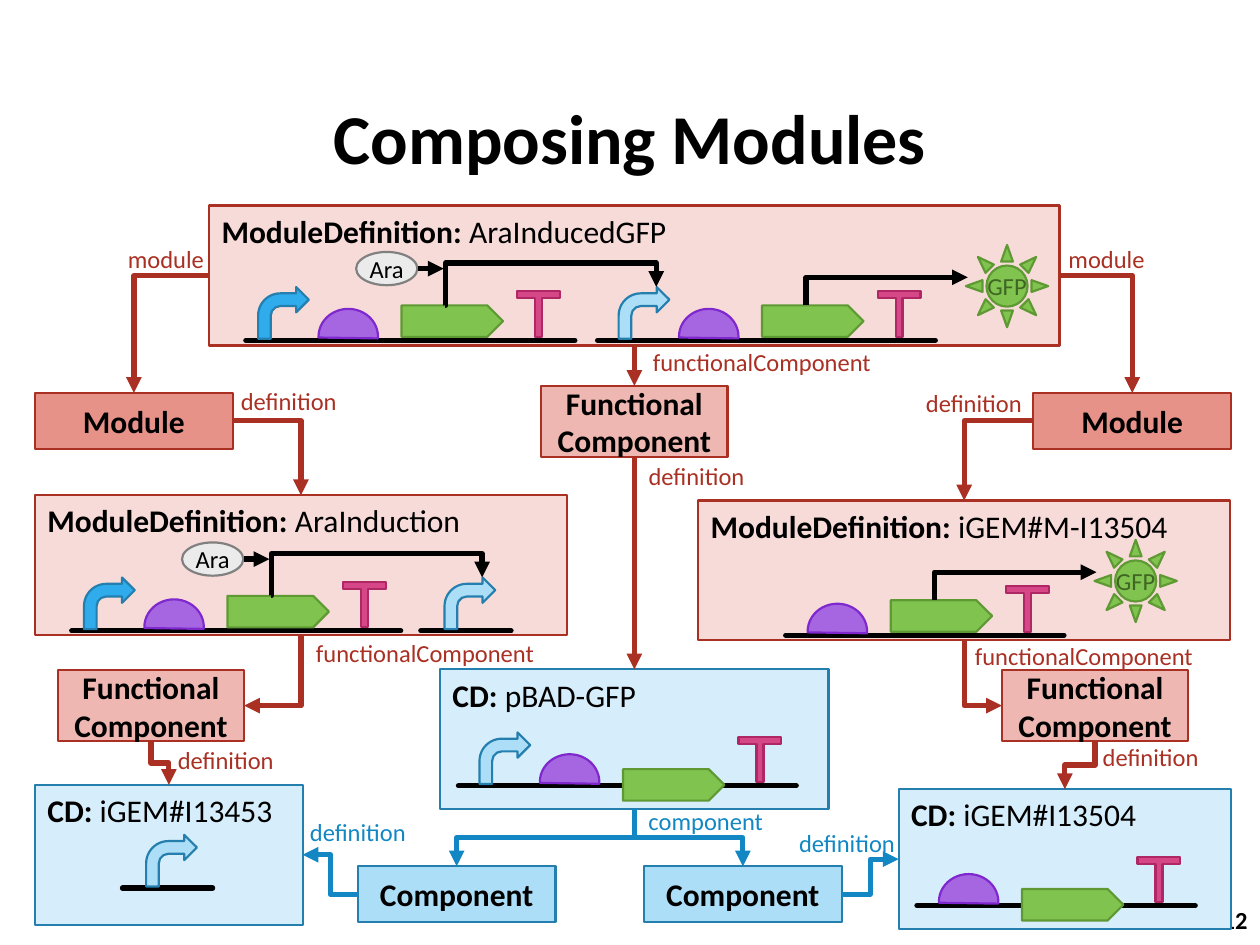
from dataclasses import dataclass

from lxml.etree import SubElement
from pptx import Presentation
from pptx.dml.color import RGBColor
from pptx.enum.shapes import MSO_CONNECTOR as Line, MSO_SHAPE as Kind
from pptx.enum.text import MSO_ANCHOR as Anchor, PP_ALIGN as Align
from pptx.oxml.ns import qn
from pptx.util import Pt

COLORS = {
    "black": "000000", "red": "A93023", "module": "E69289", "functional": "EFB7B1",
    "module_panel": "F7DBD8", "blue": "1287C3", "blue_edge": "247FAF",
    "component": "ACDEF7", "component_panel": "D6EEFB", "promoter": "30ACEC",
    "inducible": "ACDEF7", "purple": "A666E1", "purple_edge": "7E28CD",
    "green": "80C34F", "green_edge": "5F9934", "green_text": "3F6623",
    "pink": "D64787", "pink_edge": "AF2764", "grey": "EBEBEB", "grey_edge": "808080",
}
LABEL_WIDTHS = {"module": 64, "definition": 76, "component": 100, "functionalComponent": 160}
ELBOWS = {"hv": 2, "vh": 2, "hvh": 3, "vhv": 3, "hvhv": 4}


@dataclass
class Box:
    """A rectangle in points."""
    left: float
    top: float
    width: float
    height: float

    def at(self, across, down):
        """Return the point at the given fractions of the box."""
        return self.left + across * self.width, self.top + down * self.height

    def lengths(self):
        """Return the box as slide lengths."""
        return [Pt(value) for value in (self.left, self.top, self.width, self.height)]


def rgb(name):
    """Look up a named colour."""
    return RGBColor.from_string(COLORS[name])


def write(shape, runs, size, color="black", align=Align.LEFT, anchor=Anchor.MIDDLE, wrap=True):
    """Fill a shape with one paragraph of (text, bold) runs."""
    frame = shape.text_frame
    frame.word_wrap = wrap
    frame.vertical_anchor = anchor
    paragraph = frame.paragraphs[0]
    paragraph.alignment = align
    for text, bold in runs:
        run = paragraph.add_run()
        run.text = text
        run.font.name, run.font.size, run.font.bold = "Calibri", Pt(size), bold
        run.font.color.rgb = rgb(color)


def add_text(slide, box, text, size, color="black", bold=False, align=Align.LEFT, anchor=Anchor.MIDDLE):
    """Place a text box."""
    write(slide.shapes.add_textbox(*box.lengths()), [(text, bold)], size, color, align, anchor)


def add_label(slide, left, top, text, color="red"):
    """Name a connector."""
    add_text(slide, Box(left, top, LABEL_WIDTHS[text], 24), text, 14, color, anchor=Anchor.TOP)


def draw(slide, kind, box, fill, edge, adjustments=(), rotation=0):
    """Place a filled and outlined preset shape."""
    shape = slide.shapes.add_shape(kind, *box.lengths())
    shape.shadow.inherit = False
    shape.fill.solid()
    shape.fill.fore_color.rgb = rgb(fill)
    shape.line.color.rgb = rgb(edge)
    shape.line.width = Pt(1.25)
    shape.rotation = rotation
    for index, value in enumerate(adjustments):
        shape.adjustments[index] = value
    return shape


def connect(slide, start, end, route="", color="black", arrow=True, adjustments=()):
    """Join two points, straight or by an elbow whose route names its legs."""
    (x1, y1), (x2, y2) = start, end
    if route.startswith("v"):
        x, y, dx, dy = (x1 + x2) / 2, (y1 + y2) / 2, (x2 - x1) / 2, (y2 - y1) / 2
        x1, y1, x2, y2 = x - dy, y + dx, x + dy, y - dx
    connector = slide.shapes.add_connector(
        Line.ELBOW if route else Line.STRAIGHT, Pt(x1), Pt(y1), Pt(x2), Pt(y2))
    connector.line.color.rgb = rgb(color)
    connector.line.width = Pt(3)
    properties = connector._element.spPr
    if route:
        geometry = properties.find(qn("a:prstGeom"))
        geometry.set("prst", f"bentConnector{ELBOWS[route]}")
        for number, value in enumerate(adjustments, 1):
            SubElement(geometry.find(qn("a:avLst")), qn("a:gd"),
                       name=f"adj{number}", fmla=f"val {value}")
    if route.startswith("v"):
        properties.find(qn("a:xfrm")).set("rot", "5400000")
    outline = properties.find(qn("a:ln"))
    if arrow:
        SubElement(outline, qn("a:tailEnd"), type="triangle")
    else:
        outline.set("cap", "rnd")
    SubElement(properties, qn("a:effectLst"))


def add_panel(slide, box, title, name, fill="module_panel", edge="red"):
    """Place a definition panel with its heading."""
    shape = draw(slide, Kind.RECTANGLE, box, fill, edge)
    write(shape, [(title + ": ", True), (name, False)], 18, anchor=Anchor.TOP)


def add_node(slide, box, text, fill, edge="red"):
    """Place a small bold box."""
    write(draw(slide, Kind.RECTANGLE, box, fill, edge), [(text, True)], 18, align=Align.CENTER)


def add_promoter(slide, x, y, fill):
    """Place a promoter standing on the strand at y."""
    draw(slide, Kind.BENT_ARROW, Box(x, y - 30.5, 29, 29.5), fill, "blue_edge")


def add_short_strand(slide, x, y):
    """Place a strand that holds a lone promoter."""
    connect(slide, (x, y), (x + 51.5, y), arrow=False)
    add_promoter(slide, x + 13.5, y, "inducible")


def add_gene(slide, x, y, start=-60, promoter=None, coding_rise=20):
    """Place a strand at y with its parts, the coding region starting at x."""
    connect(slide, (x + start, y), (x + 99, y), arrow=False)
    if promoter:
        add_promoter(slide, x - 82, y, promoter)
    draw(slide, Kind.CHORD, Box(x - 47.5, y - 18, 34, 31.7), "purple", "purple_edge", (106.9, 2.146))
    draw(slide, Kind.PENTAGON, Box(x, y - coding_rise, 58, 18), "green", "green_edge")
    draw(slide, Kind.LEFT_RIGHT_UP_ARROW, Box(x + 66, y - 28, 24.5, 26),
         "pink", "pink_edge", (0.182, 0.081, 0), 180)


def add_induction(slide, x, y):
    """Place the inducer and the arrow from the coding region to the next promoter."""
    connect(slide, (x + 25, y - 20), (x + 145.5, y - 30.5), "hvhv", adjustments=(200, 230000))
    ellipse = draw(slide, Kind.OVAL, Box(x - 26, y - 50.5, 35, 19), "grey", "grey_edge")
    write(ellipse, [("Ara", False)], 14, align=Align.CENTER, wrap=False)
    connect(slide, (x + 9.5, y - 41), (x + 24, y - 41))


def add_reporter(slide, x, y):
    """Place the fluorescent protein and the arrow that leads to it."""
    sun = draw(slide, Kind.SUN, Box(x + 116.5, y - 54.5, 47, 47), "green", "green_edge")
    write(sun, [("GFP", False)], 14, "green_text", Align.CENTER, wrap=False)
    connect(slide, (x + 25, y - 20), (x + 117.5, y - 36), "vh")


def add_induced_module(slide, box):
    """Place the composed module."""
    add_panel(slide, box, "ModuleDefinition", "AraInducedGFP")
    first, second, y = box.left + 110, box.left + 316, box.top + 77
    add_gene(slide, first, y, -89, "promoter")
    add_gene(slide, second, y, -94, "inducible")
    add_induction(slide, first, y)
    add_reporter(slide, second, y)


def add_induction_module(slide, box):
    """Place the induction module."""
    add_panel(slide, box, "ModuleDefinition", "AraInduction")
    x, y = box.left + 110, box.top + 77.5
    add_gene(slide, x, y, -89, "promoter")
    add_short_strand(slide, x + 110.5, y)
    add_induction(slide, x, y)


def add_reporter_module(slide, box):
    """Place the reporter module."""
    add_panel(slide, box, "ModuleDefinition", "iGEM#M-I13504")
    add_gene(slide, box.left + 110, box.top + 77)
    add_reporter(slide, box.left + 110, box.top + 77)


def add_component_panel(slide, box, name, coding_left=None, **gene):
    """Place a component definition with a gene or a lone promoter."""
    add_panel(slide, box, "CD", name, "component_panel", "blue_edge")
    if coding_left is None:
        add_short_strand(slide, box.left + 50, box.top + 59)
    else:
        add_gene(slide, box.left + coding_left, box.top + 66.5, coding_rise=9.5, **gene)


def main():
    """Build the slide."""
    presentation = Presentation()
    presentation.slide_width, presentation.slide_height = Pt(720), Pt(540)
    slide = presentation.slides.add_slide(presentation.slide_layouts[6])
    add_text(slide, Box(0, 0, 720, 156), "Composing Modules", 40, bold=True, align=Align.CENTER)
    add_text(slide, Box(686, 511, 34, 29), "12", 14, bold=True, align=Align.RIGHT)

    top = Box(119.5, 117.5, 486, 80)
    induction, reporter = Box(20, 283, 304, 80), Box(399, 286, 304, 80)
    promoter, whole, gene = Box(20, 448.5, 153, 80), Box(251.5, 382.5, 222, 80), Box(513.5, 451, 190, 80)
    modules = [Box(left, 224.5, 113, 32) for left in (20, 590.5)]
    components = [Box(left, 495, 113, 32) for left in (204.5, 368)]
    functionals = [Box(*corner, 106.5, 40.5) for corner in ((33, 383), (309.25, 220.5), (572.5, 383))]

    add_induced_module(slide, top)
    add_induction_module(slide, induction)
    add_reporter_module(slide, reporter)
    add_component_panel(slide, promoter, "iGEM#I13453")
    add_component_panel(slide, whole, "pBAD-GFP", 104.5, start=-94, promoter="inducible")
    add_component_panel(slide, gene, "iGEM#I13504", 70.5)
    for boxes, text, fill, edge in ((modules, "Module", "module", "red"),
                                    (functionals, "Functional Component", "functional", "red"),
                                    (components, "Component", "component", "blue_edge")):
        for box in boxes:
            add_node(slide, box, text, fill, edge)

    left, right, above, below = (0, 0.5), (1, 0.5), (0.5, 0), (0.5, 1)
    for source, leave, target, enter, route, color in (
            (top, left, modules[0], above, "hv", "red"),
            (top, right, modules[1], above, "hv", "red"),
            (top, below, functionals[1], above, "", "red"),
            (modules[0], right, induction, above, "hv", "red"),
            (modules[1], left, reporter, above, "hv", "red"),
            (functionals[1], below, whole, above, "", "red"),
            (induction, below, functionals[0], right, "vh", "red"),
            (reporter, below, functionals[2], left, "vh", "red"),
            (functionals[0], below, promoter, above, "vhv", "red"),
            (functionals[2], below, gene, above, "vhv", "red"),
            (whole, below, components[0], above, "vhv", "blue"),
            (whole, below, components[1], above, "vhv", "blue"),
            (components[0], left, promoter, right, "hvh", "blue"),
            (components[1], right, gene, left, "hvh", "blue")):
        connect(slide, source.at(*leave), target.at(*enter), route, color)

    for x, y in ((130.5, 217), (522, 218), (363.5, 260), (94.5, 422), (623, 420.5)):
        add_label(slide, x, y, "definition")
    for x, y in ((366, 194.5), (550, 363), (173.5, 361)):
        add_label(slide, x, y, "functionalComponent")
    for x in (66, 603.5):
        add_label(slide, x, 136, "module")
    for x, y, text in ((449.5, 469.5, "definition"), (170, 463.5, "definition"), (363.5, 457, "component")):
        add_label(slide, x, y, text, "blue")
    presentation.save("out.pptx")


if __name__ == "__main__":
    main()
